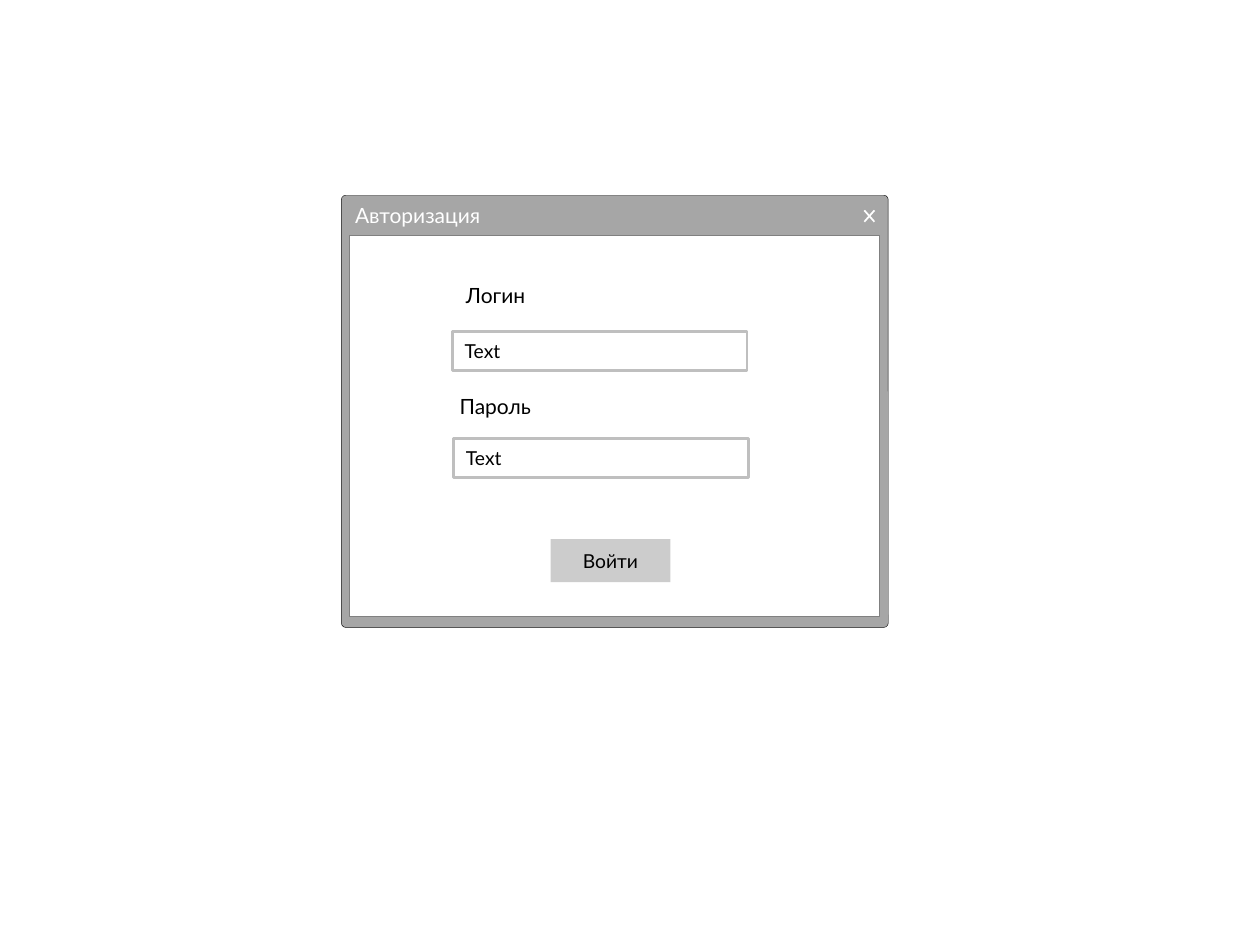
from lxml import etree
from pptx import Presentation
from pptx.dml.color import RGBColor
from pptx.enum.shapes import MSO_CONNECTOR as Connector, MSO_SHAPE as Shape
from pptx.enum.text import MSO_ANCHOR as Anchor, MSO_AUTO_SIZE as AutoSize, PP_ALIGN as Align
from pptx.oxml.ns import qn
from pptx.util import Inches, Pt

FONT = "Lato"


def color(hex_value):
    """Return the colour for a hex string."""
    return RGBColor.from_string(hex_value)


def write_text(shape, text, size=11, ink="000000", align=Align.LEFT, **frame_format):
    """Write one formatted line of text into a shape."""
    frame = shape.text_frame
    for name, value in frame_format.items():
        setattr(frame, name, value)
    paragraph = frame.paragraphs[0]
    paragraph.alignment = align
    run = paragraph.add_run()
    run.text = text
    for name, value in {"name": FONT, "size": Pt(size)}.items():
        setattr(run.font, name, value)
    run.font.color.rgb = color(ink)


def add_box(shapes, kind, bounds, fill, line=None, width=0.25):
    """Add a filled preset shape with an optional outline."""
    box = shapes.add_shape(kind, *map(Inches, bounds))
    box.shadow.inherit = False
    box.fill.solid()
    box.fill.fore_color.rgb = color(fill)
    if line:
        box.line.color.rgb = color(line)
        box.line.width = Pt(width)
    else:
        box.line.fill.background()
    return box


def add_line(shapes, start, end):
    """Add a thin white line between two points."""
    line = shapes.add_connector(Connector.STRAIGHT, *map(Inches, (*start, *end)))
    line.line.color.rgb = color("FFFFFF")
    line.line.width = Pt(1)
    etree.SubElement(line._element.spPr, qn("a:effectLst"))


def add_window(slide, caption):
    """Add the dialog window with its caption and close mark."""
    shapes = slide.shapes.add_group_shape().shapes
    frame = add_box(shapes, Shape.ROUNDED_RECTANGLE, (2.71, 1.55, 4.34, 3.43), "A6A6A6", "0D0D0D")
    frame.adjustments[0] = 0.01
    write_text(frame, caption, 12, "FFFFFF", vertical_anchor=Anchor.TOP)
    add_box(shapes, Shape.RECTANGLE, (2.77, 1.87, 4.21, 3.02), "FFFFFF", "808080")
    left, top, right, bottom = 6.86, 1.67, 6.94, 1.76
    add_line(shapes, (left, top), (right, bottom))
    add_line(shapes, (right, top), (left, bottom))


def add_label(slide, text, bounds):
    """Add a field label that fits its text."""
    label = slide.shapes.add_textbox(*map(Inches, bounds))
    write_text(label, text, 12, vertical_anchor=Anchor.MIDDLE, word_wrap=False,
               auto_size=AutoSize.SHAPE_TO_FIT_TEXT,
               margin_top=Inches(0.02), margin_bottom=Inches(0.03))


def add_field(slide, text, left, top):
    """Add an outlined input field."""
    field = add_box(slide.shapes, Shape.RECTANGLE, (left, top, 2.34, 0.31), "FFFFFF", "BFBFBF", 1.5)
    write_text(field, text, vertical_anchor=Anchor.MIDDLE)


def add_button(slide, text, bounds):
    """Add a flat button with centred text."""
    button = add_box(slide.shapes, Shape.RECTANGLE, bounds, "CCCCCC")
    write_text(button, text, align=Align.CENTER, vertical_anchor=Anchor.MIDDLE)


def main():
    """Build the login dialog slide."""
    presentation = Presentation()
    presentation.slide_width, presentation.slide_height = Inches(10), Inches(7.5)
    slide = presentation.slides.add_slide(presentation.slide_layouts[6])
    add_window(slide, "Авторизация")
    inputs = (
        ("Логин", (3.6, 2.22, 0.67, 0.25), (3.59, 2.63)),
        ("Пароль", (3.55, 3.1, 0.78, 0.25), (3.6, 3.48)),
    )
    for label, bounds, position in inputs:
        add_label(slide, label, bounds)
        add_field(slide, "Text", *position)
    add_button(slide, "Войти", (4.37, 4.28, 0.95, 0.34))
    presentation.save("out.pptx")


main()
